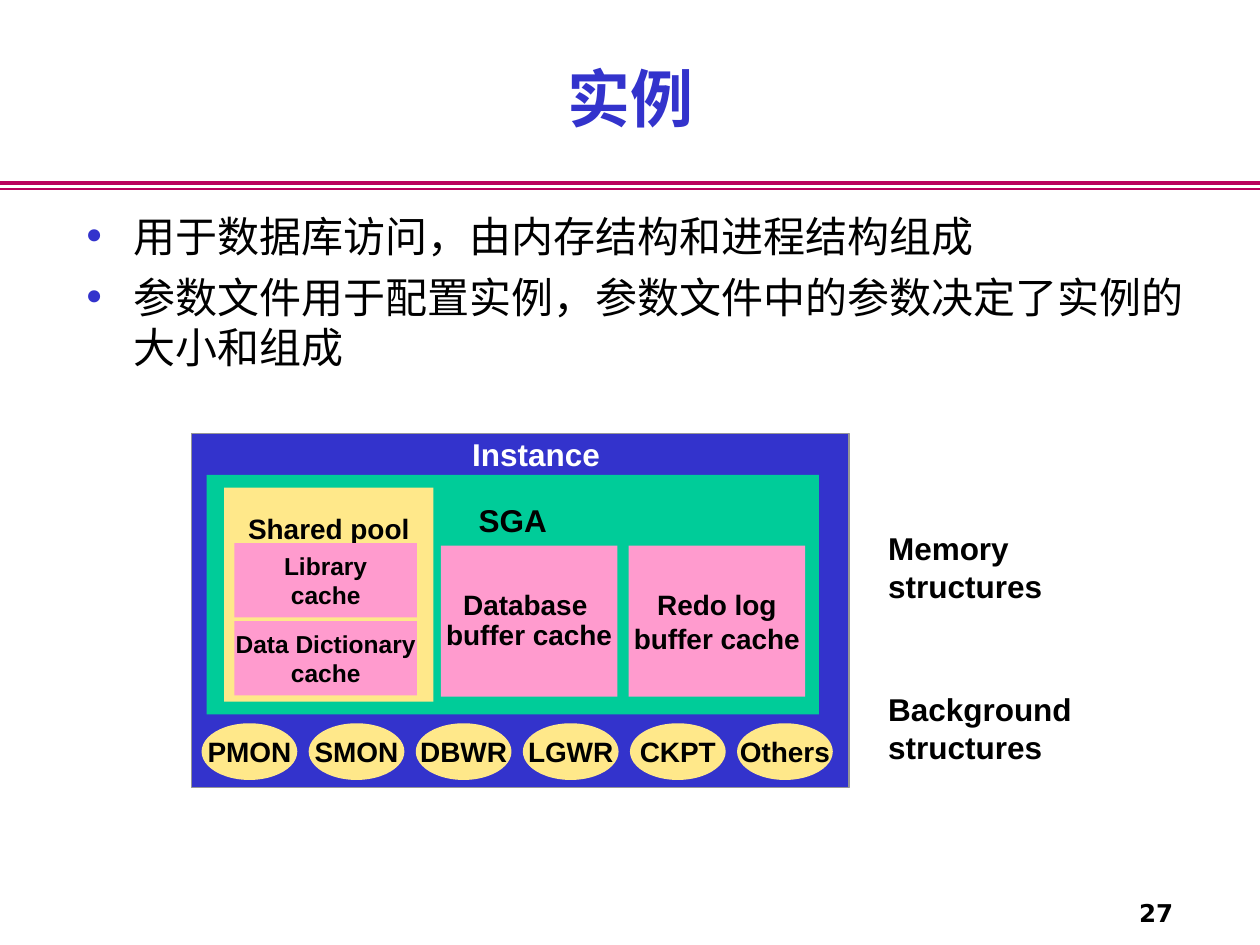
import pptx
import pptx.util
import pptx.dml.color
import pptx.enum.shapes
import pptx.enum.text
import pptx.oxml
import pptx.oxml.ns

Inches = pptx.util.Inches
Pt = pptx.util.Pt
ALIGN = pptx.enum.text.PP_ALIGN
ANCHOR = pptx.enum.text.MSO_ANCHOR
SHAPE = pptx.enum.shapes.MSO_SHAPE
BLUE, GREEN, PINK, CREAM = "3333CC", "00CC99", "FF9BCE", "FFE88A"


def color(code):
    return pptx.dml.color.RGBColor.from_string(code)


def style(frame, size, ink="000000", face="Arial", bold=True,
          align=ALIGN.LEFT, anchor=ANCHOR.TOP):
    frame.vertical_anchor = anchor
    for para in frame.paragraphs:
        para.alignment = align
        for run in para.runs:
            font = run.font
            font.size, font.name, font.bold = Pt(size), face, bold
            font.color.rgb = color(ink)


def add_rule(slide, top, width):
    rule = slide.shapes.add_connector(
        pptx.enum.shapes.MSO_CONNECTOR.STRAIGHT,
        Inches(0), Inches(top), Inches(10), Inches(top))
    rule.line.color.rgb = color("BA005D")
    rule.line.width = Pt(width)
    props = rule._element.spPr
    props.append(pptx.oxml.parse_xml(
        "<a:effectLst %s/>" % pptx.oxml.ns.nsdecls("a")))


def add_text(slide, box, text, wrap=True, **look):
    frame = slide.shapes.add_textbox(*map(Inches, box)).text_frame
    frame.word_wrap = wrap
    frame.text = text
    style(frame, **look)
    return frame


def add_block(slide, box, fill, text="", size=16, ink="000000",
              kind=SHAPE.RECTANGLE, inset=None, edge=None):
    block = slide.shapes.add_shape(kind, *map(Inches, box))
    block.shadow.inherit = False
    block.fill.solid()
    block.fill.fore_color.rgb = color(fill)
    if edge:
        block.line.color.rgb = color(edge)
        block.line.width = Pt(1)
    else:
        block.line.fill.background()
    if text:
        frame = block.text_frame
        frame.word_wrap = False
        frame.text = text
        anchor = ANCHOR.MIDDLE
        if inset is not None:
            frame.margin_top = Inches(inset)
            anchor = ANCHOR.TOP
        style(frame, size, ink, align=ALIGN.CENTER, anchor=anchor)
    return block


def add_title(slide, text):
    title = slide.shapes.title
    title.left, title.top = Inches(0.75), Inches(0.15)
    title.width, title.height = Inches(8.5), Inches(1.25)
    title.text_frame.text = text
    style(title.text_frame, 36, BLUE, "Times New Roman",
          align=ALIGN.CENTER, anchor=ANCHOR.MIDDLE)


def add_bullets(slide, box, items):
    frame = add_text(slide, box, "\n".join(items), size=24,
                     face="Times New Roman", bold=False)
    space = pptx.oxml.ns.nsdecls("a")
    marks = (
        '<a:buClr %s><a:srgbClr val="' + BLUE + '"/></a:buClr>',
        '<a:buSzPct %s val="120000"/>',
        '<a:buFont %s typeface="Times New Roman"/>',
        '<a:buChar %s char="•"/>',
    )
    for index, para in enumerate(frame.paragraphs):
        props = para._p.get_or_add_pPr()
        props.set("marL", str(Inches(0.38)))
        props.set("indent", str(-Inches(0.38)))
        for mark in marks:
            props.append(pptx.oxml.parse_xml(mark % space))
        if index:
            para.space_before = Pt(6)


def add_memory(slide):
    add_block(slide, (1.52, 3.44, 5.22, 2.81), BLUE, edge="969696")
    add_block(slide, (3.68, 3.45, 1.15, 0.31), BLUE, "Instance", 18, "FFFFFF")
    add_block(slide, (1.64, 3.77, 4.86, 1.9), GREEN, "SGA", 18, inset=0.21)
    add_block(slide, (1.78, 3.87, 1.66, 1.7), CREAM, "Shared pool", inset=0.19)
    for top, text in ((4.31, "Library\ncache"),
                      (4.93, "Data Dictionary\vcache")):
        add_block(slide, (1.86, top, 1.45, 0.59), PINK, text, 14)
    data = add_block(slide, (3.5, 4.33, 1.4, 1.2), PINK,
                     "Database \vbuffer cache")
    data.text_frame.paragraphs[0].line_spacing = 0.9
    add_block(slide, (4.99, 4.33, 1.4, 1.2), PINK, "Redo log\vbuffer cache")


def add_tasks(slide):
    names = ("PMON", "SMON", "DBWR", "LGWR", "CKPT", "Others")
    for index, name in enumerate(names):
        add_block(slide, (1.6 + 0.85 * index, 5.74, 0.76, 0.45), CREAM, name,
                  kind=SHAPE.OVAL)


def main():
    deck = pptx.Presentation()
    deck.slide_width, deck.slide_height = Inches(10), Inches(7.5)
    slide = deck.slides.add_slide(deck.slide_layouts[5])
    add_rule(slide, 1.45, 2.25)
    add_rule(slide, 1.5, 1)
    add_title(slide, "实例")
    add_bullets(slide, (0.58, 1.62, 8.99, 1.66), (
        "用于数据库访问，由内存结构和进程结构组成",
        "参数文件用于配置实例，参数文件中的参数决定了实例的大小和组成"))
    add_memory(slide)
    add_tasks(slide)
    for top, text in ((4.15, "Memory structures"),
                      (5.43, "Background structures")):
        add_text(slide, (6.95, top, 1.79, 0.7), text, size=18)
    add_text(slide, (8.83, 7.08, 0.58, 0.33), "27", wrap=False, size=14,
             face="DejaVu Sans", align=ALIGN.RIGHT, anchor=ANCHOR.MIDDLE)
    deck.save("out.pptx")


if __name__ == "__main__":
    main()
